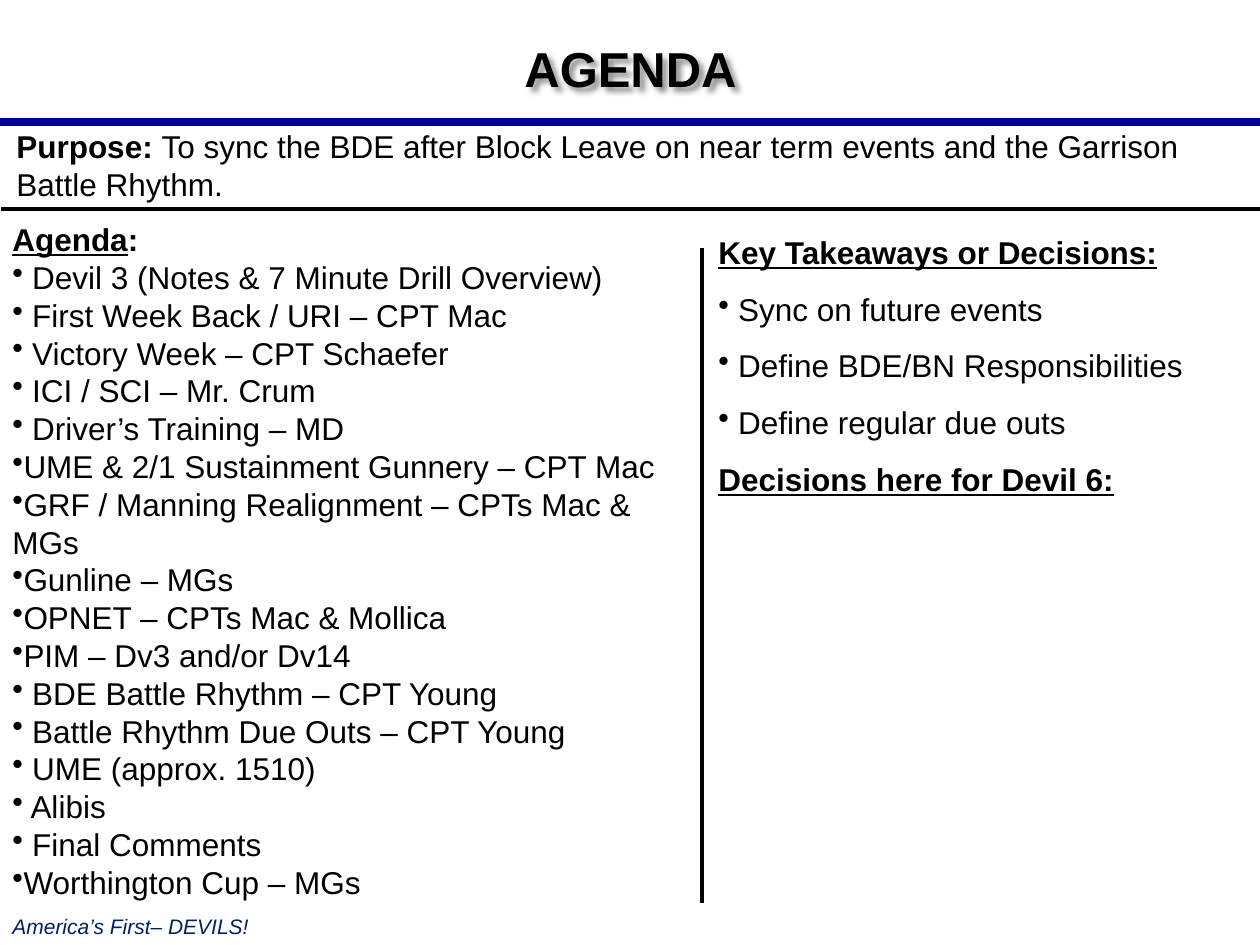
"""Build the agenda slide with its purpose, topics and key takeaways."""
from lxml.etree import SubElement
from pptx import Presentation
from pptx.dml.color import RGBColor
from pptx.enum.shapes import MSO_CONNECTOR
from pptx.enum.text import MSO_AUTO_SIZE, PP_ALIGN
from pptx.oxml.ns import qn
from pptx.util import Emu, Pt

SCALE = 914400 / 126
COLORS = {"black": "000000", "rule": "000099", "motto": "002060", "shadow": "000000"}


def add_text(page, bounds, paragraphs, size=18, color="black", spacing=1.0, wrap=True):
    box = page.shapes.add_textbox(*[Emu(round(n * SCALE)) for n in bounds])
    frame = box.text_frame
    frame.word_wrap = wrap
    frame.auto_size = MSO_AUTO_SIZE.SHAPE_TO_FIT_TEXT
    for index, (bulleted, spans) in enumerate(paragraphs):
        para = frame.paragraphs[0] if index == 0 else frame.add_paragraph()
        para.line_spacing = spacing
        if bulleted:
            bullet = SubElement(para._p.get_or_add_pPr(), qn("a:buChar"))
            bullet.set("char", "•")
        for text, style in spans:
            span = para.add_run()
            span.text = text
            span.font.name = "Arial"
            span.font.size = Pt(size)
            span.font.color.rgb = RGBColor.from_string(COLORS[color])
            span.font.bold = "b" in style
            span.font.italic = "i" in style
            span.font.underline = "u" in style
    return box


deck = Presentation()
deck.slide_width = Emu(round(1260 * SCALE))
deck.slide_height = Emu(round(945 * SCALE))
page = deck.slides.add_slide(deck.slide_layouts[6])

rules = [
    ((0, 122, 1260, 122), "rule", 4.5),
    ((1, 209, 1261, 209), "black", 2.5),
    ((702, 248, 702, 903), "black", 2.5),
]
for ends, color, width in rules:
    rule = page.shapes.add_connector(
        MSO_CONNECTOR.STRAIGHT, *[Emu(round(n * SCALE)) for n in ends])
    rule.line.color.rgb = RGBColor.from_string(COLORS[color])
    rule.line.width = Pt(width)
    SubElement(rule._element.spPr, qn("a:effectLst"))

add_text(page, (0, 907, 334, 38), [(False, [("America’s First– DEVILS!", "i")])],
         size=12, color="motto", wrap=False)

title = add_text(page, (0, 32, 1261, 71), [(False, [("AGENDA", "b")])], size=28)
title.text_frame.paragraphs[0].alignment = PP_ALIGN.CENTER
effects = SubElement(title._element.spPr, qn("a:effectLst"))
shadow = SubElement(effects, qn("a:outerShdw"), blurRad="38100", dist="38100",
                    dir="2700000", algn="tl", rotWithShape="0")
shade = SubElement(shadow, qn("a:srgbClr"), val=COLORS["shadow"])
SubElement(shade, qn("a:alpha"), val="43000")

topics = [
    " Devil 3 (Notes & 7 Minute Drill Overview)",
    " First Week Back / URI – CPT Mac",
    " Victory Week – CPT Schaefer",
    " ICI / SCI – Mr. Crum",
    " Driver’s Training – MD",
    "UME & 2/1 Sustainment Gunnery – CPT Mac",
    "GRF / Manning Realignment – CPTs Mac & MGs",
    "Gunline – MGs",
    "OPNET – CPTs Mac & Mollica",
    "PIM – Dv3 and/or Dv14",
    " BDE Battle Rhythm – CPT Young",
    " Battle Rhythm Due Outs – CPT Young",
    " UME (approx. 1510)",
    " Alibis",
    " Final Comments",
    "Worthington Cup – MGs",
]
add_text(page, (0, 214, 706, 699),
         [(False, [("Agenda", "bu"), (":", "b")])]
         + [(True, [(topic, "")]) for topic in topics])

purpose = "To sync the BDE after Block Leave on near term events and the Garrison Battle Rhythm."
add_text(page, (4, 121, 1246, 89), [(False, [("Purpose: ", "b"), (purpose, "")])])

takeaways = [
    " Sync on future events",
    " Define BDE/BN Responsibilities",
    " Define regular due outs",
]
add_text(page, (706, 208, 554, 413),
         [(False, [("Key Takeaways or Decisions:", "bu")])]
         + [(True, [(takeaway, "")]) for takeaway in takeaways]
         + [(False, [("Decisions here for Devil 6:", "bu")])],
         spacing=1.5)

deck.save("out.pptx")
